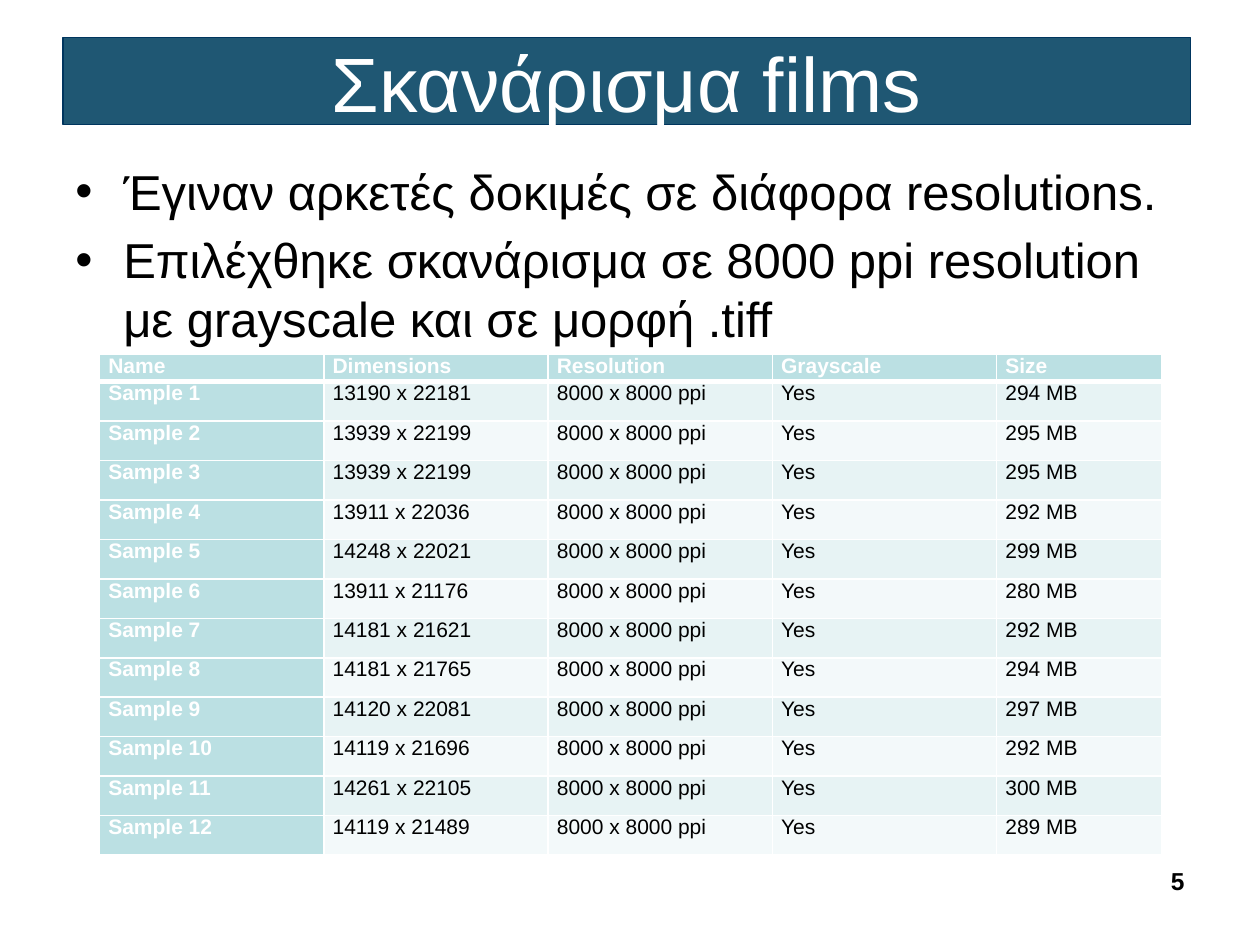
from dataclasses import dataclass

from lxml import etree
from pptx import Presentation
from pptx.dml.color import RGBColor
from pptx.enum.shapes import MSO_SHAPE
from pptx.enum.text import MSO_ANCHOR, PP_ALIGN
from pptx.oxml.ns import qn
from pptx.util import Inches, Pt

RECTANGLE = MSO_SHAPE.RECTANGLE
MIDDLE = MSO_ANCHOR.MIDDLE
CENTER, RIGHT = PP_ALIGN.CENTER, PP_ALIGN.RIGHT


@dataclass(frozen=True)
class Theme:
    font: str = "Arial"
    white: str = "FFFFFF"
    black: str = "000000"
    title_fill: str = "1F5773"
    title_line: str = "00355E"
    header_fill: str = "BBE0E3"
    bands: tuple[str, str] = ("E7F3F4", "F3F9FA")
    title_size: int = 44
    body_size: int = 28
    number_size: int = 14
    table_size: int = 12
    grid_width: int = 1
    header_rule: int = 3


@dataclass(frozen=True)
class Sample:
    dimensions: str
    megabytes: int
    resolution: str = "8000 x 8000 ppi"
    grayscale: str = "Yes"


THEME = Theme()
BULLETS = [
    "Έγιναν αρκετές δοκιμές σε διάφορα resolutions.",
    "Επιλέχθηκε σκανάρισμα σε 8000 ppi resolution με grayscale και σε μορφή .tiff",
]
HEADERS = ["Name", "Dimensions", "Resolution", "Grayscale", "Size"]
SAMPLES = [
    Sample("13190 x 22181", 294),
    Sample("13939 x 22199", 295),
    Sample("13939 x 22199", 295),
    Sample("13911 x 22036", 292),
    Sample("14248 x 22021", 299),
    Sample("13911 x 21176", 280),
    Sample("14181 x 21621", 292),
    Sample("14181 x 21765", 294),
    Sample("14120 x 22081", 297),
    Sample("14119 x 21696", 292),
    Sample("14261 x 22105", 300),
    Sample("14119 x 21489", 289),
]
COLUMN_WIDTHS = [1.78] * 4 + [1.31]
TABLE_HEIGHT, HEADER_HEIGHT = 3.98, 0.22


def rgb(color: str) -> RGBColor:
    return RGBColor.from_string(color)


def add_run(p, text: str, size: int, color: str, bold: bool = False) -> None:
    r = p.add_run()
    r.text = text
    r.font.name = THEME.font
    r.font.size = Pt(size)
    r.font.bold = bold
    r.font.color.rgb = rgb(color)


def add_title(slide, text: str) -> None:
    sp = slide.shapes.add_shape(
        RECTANGLE, Inches(0.5), Inches(0.3), Inches(8.95), Inches(0.69))
    sp.shadow.inherit = False
    sp.fill.solid()
    sp.fill.fore_color.rgb = rgb(THEME.title_fill)
    sp.line.color.rgb = rgb(THEME.title_line)
    sp.line.width = Pt(0.75)
    tf = sp.text_frame
    tf.vertical_anchor = MIDDLE
    p = tf.paragraphs[0]
    p.alignment = CENTER
    add_run(p, text, THEME.title_size, THEME.white)


def set_bullet(p) -> None:
    pPr = p._p.get_or_add_pPr()
    indent = Inches(0.38)
    pPr.set("marL", str(indent))
    pPr.set("indent", str(-indent))
    etree.SubElement(pPr, qn("a:buFont"), typeface=THEME.font)
    etree.SubElement(pPr, qn("a:buChar"), char="•")


def add_bullets(slide, items: list[str]) -> None:
    box = slide.shapes.add_textbox(
        Inches(0.5), Inches(1.23), Inches(8.95), Inches(5.48))
    tf = box.text_frame
    tf.word_wrap = True
    for i, item in enumerate(items):
        p = tf.add_paragraph() if i else tf.paragraphs[0]
        set_bullet(p)
        if i:
            p.space_before = Pt(0.2 * THEME.body_size)
        add_run(p, item, THEME.body_size, THEME.black)


def set_borders(cell, top: int, bottom: int) -> None:
    tcPr = cell._tc.get_or_add_tcPr()
    widths = {"lnL": THEME.grid_width, "lnR": THEME.grid_width,
              "lnT": top, "lnB": bottom}
    for side, width in widths.items():
        ln = etree.SubElement(tcPr, qn(f"a:{side}"), w=str(Pt(width)))
        fill = etree.SubElement(ln, qn("a:solidFill"))
        etree.SubElement(fill, qn("a:srgbClr"), val=THEME.white)


def fill_cell(cell, text: str, row: int, col: int) -> None:
    heading = row == 0 or col == 0
    set_borders(cell,
                top=THEME.header_rule if row == 1 else THEME.grid_width,
                bottom=THEME.header_rule if row == 0 else THEME.grid_width)
    cell.fill.solid()
    cell.fill.fore_color.rgb = rgb(
        THEME.header_fill if heading else THEME.bands[(row - 1) % 2])
    cell.margin_left = cell.margin_right = Inches(0.07)
    cell.margin_top = cell.margin_bottom = 0
    add_run(cell.text_frame.paragraphs[0], text, THEME.table_size,
            THEME.white if heading else THEME.black, bold=heading)


def add_sample_table(slide, samples: list[Sample]) -> None:
    rows = [HEADERS] + [
        [f"Sample {n}", s.dimensions, s.resolution, s.grayscale, f"{s.megabytes} MB"]
        for n, s in enumerate(samples, 1)
    ]
    table = slide.shapes.add_table(
        len(rows), len(HEADERS), Inches(0.79), Inches(2.81),
        Inches(sum(COLUMN_WIDTHS)), Inches(TABLE_HEIGHT)).table
    table.first_col = True
    for column, width in zip(table.columns, COLUMN_WIDTHS):
        column.width = Inches(width)
    sample_height = (TABLE_HEIGHT - HEADER_HEIGHT) / len(samples)
    for i, values in enumerate(rows):
        table.rows[i].height = Inches(sample_height if i else HEADER_HEIGHT)
        for j, text in enumerate(values):
            fill_cell(table.cell(i, j), text, i, j)


def add_slide_number(slide, number: str) -> None:
    box = slide.shapes.add_textbox(
        Inches(8.94), Inches(6.82), Inches(0.56), Inches(0.52))
    tf = box.text_frame
    tf.word_wrap = True
    p = tf.paragraphs[0]
    p.alignment = RIGHT
    add_run(p, number, THEME.number_size, THEME.black, bold=True)


def main() -> None:
    prs = Presentation()
    prs.slide_width, prs.slide_height = Inches(10), Inches(7.5)
    slide = prs.slides.add_slide(prs.slide_layouts[6])
    add_slide_number(slide, "5")
    add_title(slide, "Σκανάρισμα films")
    add_bullets(slide, BULLETS)
    add_sample_table(slide, SAMPLES)
    prs.save("out.pptx")


if __name__ == "__main__":
    main()
